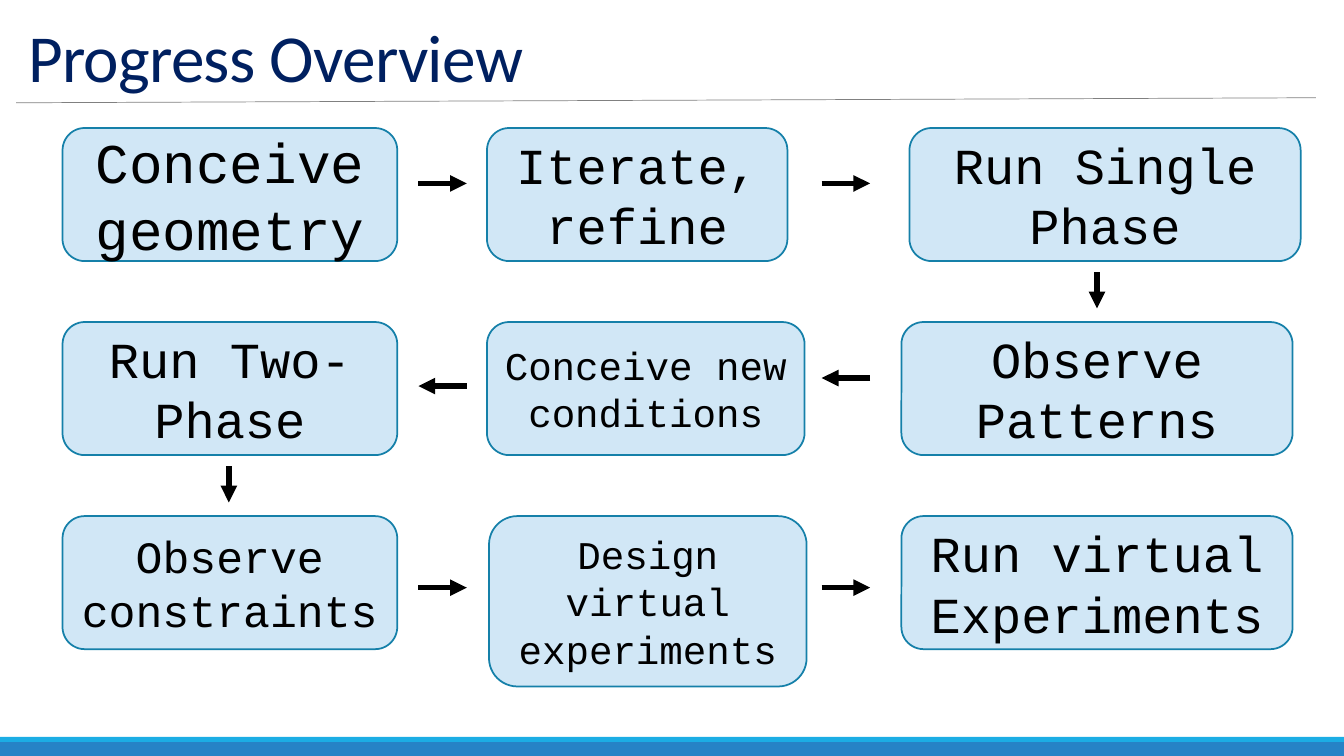
"""Builds the Progress Overview slide: a three-by-three winding process flow."""
from dataclasses import dataclass

from lxml.etree import SubElement
from pptx import Presentation
from pptx.dml.color import RGBColor
from pptx.enum.shapes import MSO_CONNECTOR, MSO_SHAPE
from pptx.enum.text import MSO_ANCHOR, PP_ALIGN
from pptx.oxml.ns import qn
from pptx.util import Inches, Pt


@dataclass(frozen=True)
class Theme:
    title_font: str = "Calibri"
    step_font: str = "Courier New"
    title_size: int = 48
    title: str = "002060"
    step_fill: str = "D1E7F6"
    step_line: str = "1580A9"
    text: str = "000000"
    rule: str = "808080"
    band: str = "2683C6"
    band_edge: str = "1CADE4"
    huge: int = 40
    large: int = 36
    medium: int = 32
    small: int = 28


THEME = Theme()
WIDTH, HEIGHT = 13.33, 7.5
TITLE = "Progress Overview"

# column, row, text, size, width, height, shift right
STEPS = [
    (0, 0, "Conceive geometry", THEME.huge, 3.32, 1.32, 0),
    (1, 0, "Iterate, refine", THEME.large, 2.98, 1.32, 0),
    (2, 0, "Run Single Phase", THEME.large, 3.88, 1.32, 0.08),
    (2, 1, "Observe Patterns", THEME.large, 3.88, 1.32, 0),
    (1, 1, "Conceive new conditions", THEME.small, 3.15, 1.32, 0),
    (0, 1, "Run Two-Phase", THEME.large, 3.32, 1.32, 0),
    (0, 2, "Observe constraints", THEME.medium, 3.32, 1.32, 0),
    (1, 2, "Design virtual experiments", THEME.small, 3.15, 1.69, 0.02),
    (2, 2, "Run virtual Experiments", THEME.large, 3.88, 1.32, 0),
]
COLUMN_LEFT = (0.62, 4.83, 8.94)
ROW_TOP, ROW_STEP = 1.27, 1.925

GAP_LEFT, GAP_STEP, ARROW_LENGTH = 4.15, 4.0, 0.48
ACROSS = [(0, 1.82, 1), (1, 1.82, 1), (1, 3.75, -1),
          (0, 3.83, -1), (1, 5.83, 1), (0, 5.83, 1)]
DOWN = [(10.88, 0), (2.27, 1)]
DROP_START, DROP_LENGTH = 2.7, 0.36


def rgb(color):
    return RGBColor.from_string(color)


def style_text(paragraph, font, size, color):
    paragraph.font.name = font
    paragraph.font.size = Pt(size)
    paragraph.font.color.rgb = rgb(color)


def add_block(slide, preset, box, fill, outline=None):
    block = slide.shapes.add_shape(preset, *map(Inches, box))
    block.shadow.inherit = False
    block.fill.solid()
    block.fill.fore_color.rgb = rgb(fill)
    if outline:
        block.line.color.rgb = rgb(outline)
        block.line.width = Pt(1.25)
    else:
        block.line.fill.background()
    return block


def add_line(slide, start, end, color, weight, arrow=False):
    line = slide.shapes.add_connector(
        MSO_CONNECTOR.STRAIGHT, *map(Inches, (*start, *end)))
    line.line.color.rgb = rgb(color)
    line.line.width = Pt(weight)
    properties = line._element.spPr
    if arrow:
        SubElement(properties.find(qn("a:ln")), qn("a:tailEnd"), type="triangle")
    SubElement(properties, qn("a:effectLst"))


def add_title(slide):
    heading = slide.shapes.add_textbox(*map(Inches, (0.18, 0.13, 11, 0.87)))
    frame = heading.text_frame
    frame.word_wrap = True
    frame.vertical_anchor = MSO_ANCHOR.BOTTOM
    paragraph = frame.paragraphs[0]
    paragraph.line_spacing = 0.85
    run = paragraph.add_run()
    run.text = TITLE
    run.font._element.set("spc", "-50")
    style_text(paragraph, THEME.title_font, THEME.title_size, THEME.title)


def add_step(slide, column, row, text, size, width, height, shift):
    box = (COLUMN_LEFT[column] + shift, ROW_TOP + row * ROW_STEP, width, height)
    step = add_block(slide, MSO_SHAPE.ROUNDED_RECTANGLE, box,
                     THEME.step_fill, THEME.step_line)
    frame = step.text_frame
    frame.word_wrap = True
    frame.vertical_anchor = MSO_ANCHOR.MIDDLE
    paragraph = frame.paragraphs[0]
    paragraph.text = text
    paragraph.alignment = PP_ALIGN.CENTER
    style_text(paragraph, THEME.step_font, size, THEME.text)


def main():
    deck = Presentation()
    deck.slide_width, deck.slide_height = Inches(WIDTH), Inches(HEIGHT)
    slide = deck.slides.add_slide(deck.slide_layouts[6])

    add_block(slide, MSO_SHAPE.RECTANGLE, (0, 7.36, WIDTH, 0.14), THEME.band)
    add_block(slide, MSO_SHAPE.RECTANGLE, (0, 7.31, WIDTH, 0.05), THEME.band_edge)
    add_line(slide, (0.16, 1.02), (13.05, 0.97), THEME.rule, 0.5)
    add_title(slide)

    for step in STEPS:
        add_step(slide, *step)
    for gap, y, direction in ACROSS:
        left = GAP_LEFT + gap * GAP_STEP
        ends = [(left, y), (left + ARROW_LENGTH, y)][::direction]
        add_line(slide, *ends, THEME.text, 4, arrow=True)
    for x, row in DOWN:
        top = DROP_START + row * ROW_STEP
        add_line(slide, (x, top), (x, top + DROP_LENGTH), THEME.text, 4, arrow=True)

    deck.save("out.pptx")


if __name__ == "__main__":
    main()
